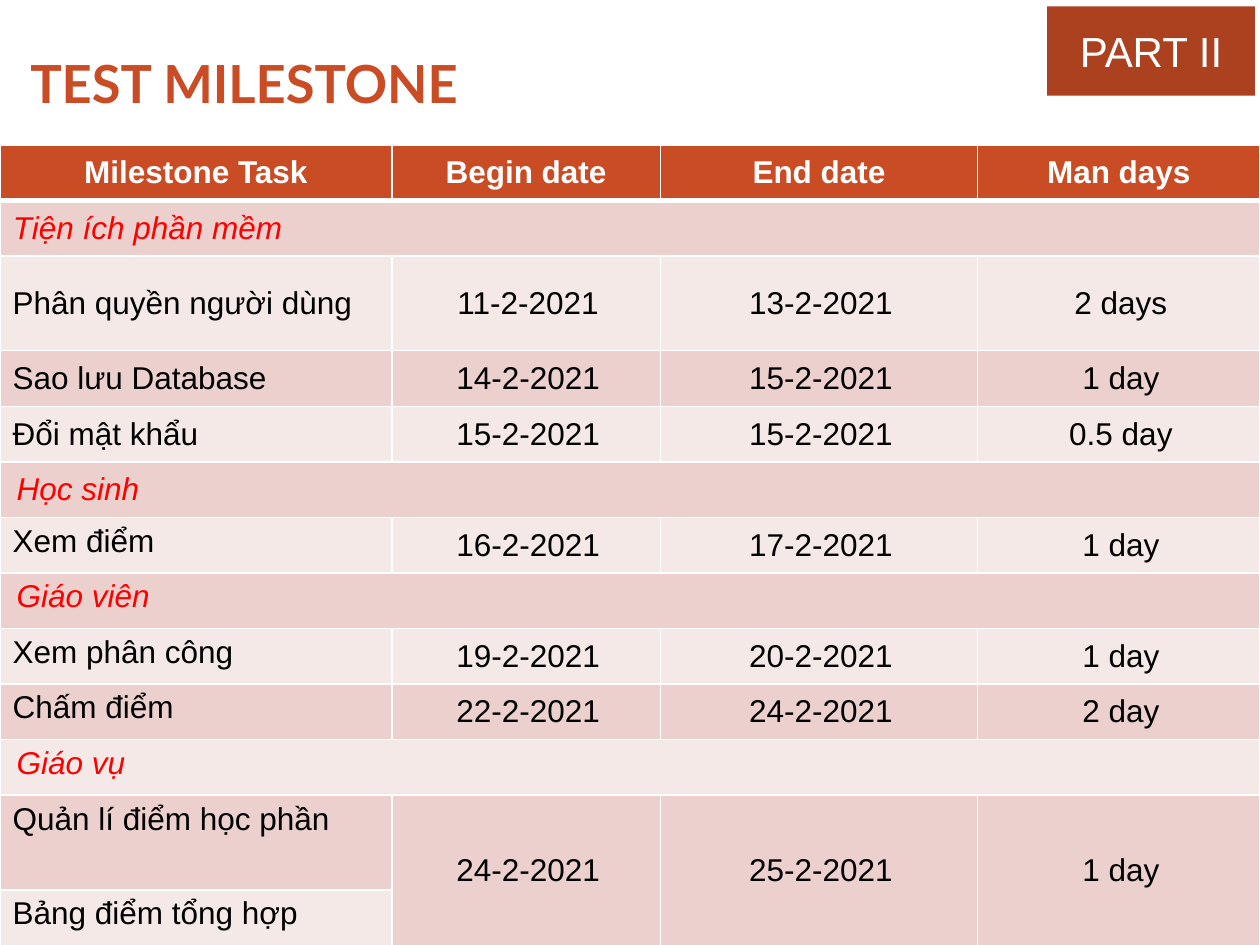
from pptx import Presentation
from pptx.dml.color import RGBColor
from pptx.enum.shapes import MSO_SHAPE
from pptx.enum.text import MSO_ANCHOR, MSO_AUTO_SIZE, PP_ALIGN
from pptx.oxml.ns import qn
from pptx.util import Cm, Pt
from lxml.etree import Element, SubElement

WHITE = RGBColor(0xFF, 0xFF, 0xFF)
BLACK = RGBColor(0, 0, 0)
RED = RGBColor(0xFF, 0, 0)
RUST = RGBColor(0xC9, 0x4C, 0x25)
DARK = RGBColor(0xAC, 0x41, 0x20)
ROSE = RGBColor(0xEB, 0xD0, 0xCD)
PALE = RGBColor(0xF5, 0xE9, 0xE8)

WIDTHS = [7.9, 5.41, 6.4, 5.69]
LOW, TALL = 1.12, 1.91
TALL_ROWS = (2, 11)
TOP_ROW = 6

ROWS = [
    ["Milestone Task", "Begin date", "End date", "Man days"],
    ["Tiện ích phần mềm"],
    ["Phân quyền người dùng", "11-2-2021", "13-2-2021", "2 days"],
    ["Sao lưu Database", "14-2-2021", "15-2-2021", "1 day"],
    ["Đổi mật khẩu", "15-2-2021", "15-2-2021", "0.5 day"],
    ["Học sinh"],
    ["Xem điểm", "16-2-2021", "17-2-2021", "1 day"],
    ["Giáo viên"],
    ["Xem phân công", "19-2-2021", "20-2-2021", "1 day"],
    ["Chấm điểm", "22-2-2021", "24-2-2021", "2 day"],
    ["Giáo vụ"],
    ["Quản lí điểm học phần", "24-2-2021", "25-2-2021", "1 day"],
    ["Bảng điểm tổng hợp", "", "", ""],
]


def add_run(para, text, size, color, font="Arial", bold=False, slant=False):
    run = para.add_run()
    run.text = text
    run.font.name = font
    run.font.size = Pt(size)
    run.font.bold = bold
    run.font.italic = slant
    run.font.color.rgb = color


def indent(para, left):
    props = para._p.get_or_add_pPr()
    props.set("marL", str(Cm(left)))
    props.set("indent", "0")


def add_title(slide):
    title = slide.shapes.title
    title.left, title.top = Cm(0.1), Cm(0.91)
    title.width, title.height = Cm(15.8), Cm(1.5)
    frame = title.text_frame
    frame.auto_size = MSO_AUTO_SIZE.NONE
    frame.vertical_anchor = MSO_ANCHOR.MIDDLE
    frame.margin_left = frame.margin_right = 0
    para = frame.paragraphs[0]
    para.alignment = PP_ALIGN.LEFT
    indent(para, 0.51)
    add_run(para, "TEST MILESTONE", 30, RUST, "Lato", bold=True)


def add_badge(slide):
    badge = slide.shapes.add_shape(
        MSO_SHAPE.RECTANGLE, Cm(21.11), Cm(0.13), Cm(4.19), Cm(1.8))
    badge.shadow.inherit = False
    badge.fill.solid()
    badge.fill.fore_color.rgb = DARK
    badge.line.fill.background()
    badge.text_frame.vertical_anchor = MSO_ANCHOR.MIDDLE
    para = badge.text_frame.paragraphs[0]
    para.alignment = PP_ALIGN.CENTER
    add_run(para, "PART II", 24, WHITE)


def set_edges(cell, row):
    props = cell._tc.get_or_add_tcPr()
    thick = {"T": 3 if row == 1 else 1, "B": 3 if row == 0 else 1}
    for spot, side in enumerate("LRTB"):
        line = Element(qn(f"a:ln{side}"), w=str(Pt(thick.get(side, 1))))
        fill = SubElement(line, qn("a:solidFill"))
        SubElement(fill, qn("a:srgbClr"), val=str(WHITE))
        props.insert(spot, line)


def fill_cell(cell, text, row, col, group):
    head = row == 0
    cell.fill.solid()
    cell.fill.fore_color.rgb = RUST if head else ROSE if row % 2 else PALE
    set_edges(cell, row)
    high = col == 0 and row >= TOP_ROW
    cell.vertical_anchor = MSO_ANCHOR.TOP if high else MSO_ANCHOR.MIDDLE
    if head or col or row == 1:
        cell.margin_left = cell.margin_right = Cm(0.18)
    para = cell.text_frame.paragraphs[0]
    if head or col:
        para.alignment = PP_ALIGN.CENTER
    if group or (col and not head):
        indent(para, 0.08)
        para.space_before = para.space_after = Pt(4)
    if text:
        color = WHITE if head else RED if group else BLACK
        add_run(para, text, 18, color, bold=head, slant=group)


def add_grid(slide):
    highs = [TALL if row in TALL_ROWS else LOW for row in range(len(ROWS))]
    table = slide.shapes.add_table(
        len(ROWS), len(WIDTHS), 0, Cm(2.92),
        Cm(sum(WIDTHS)), Cm(sum(highs))).table
    for column, width in zip(table.columns, WIDTHS):
        column.width = Cm(width)
    for row, (texts, high) in enumerate(zip(ROWS, highs)):
        table.rows[row].height = Cm(high)
        group = len(texts) == 1
        for col in range(len(WIDTHS)):
            text = texts[col] if col < len(texts) else ""
            fill_cell(table.cell(row, col), text, row, col, group)
        if group:
            table.cell(row, 0).merge(table.cell(row, len(WIDTHS) - 1))
    last = len(ROWS) - 1
    for col in range(1, len(WIDTHS)):
        table.cell(last - 1, col).merge(table.cell(last, col))


def main():
    deck = Presentation()
    deck.slide_width, deck.slide_height = Cm(25.4), Cm(19.05)
    slide = deck.slides.add_slide(deck.slide_layouts[5])
    add_title(slide)
    add_badge(slide)
    add_grid(slide)
    deck.save("out.pptx")


if __name__ == "__main__":
    main()
